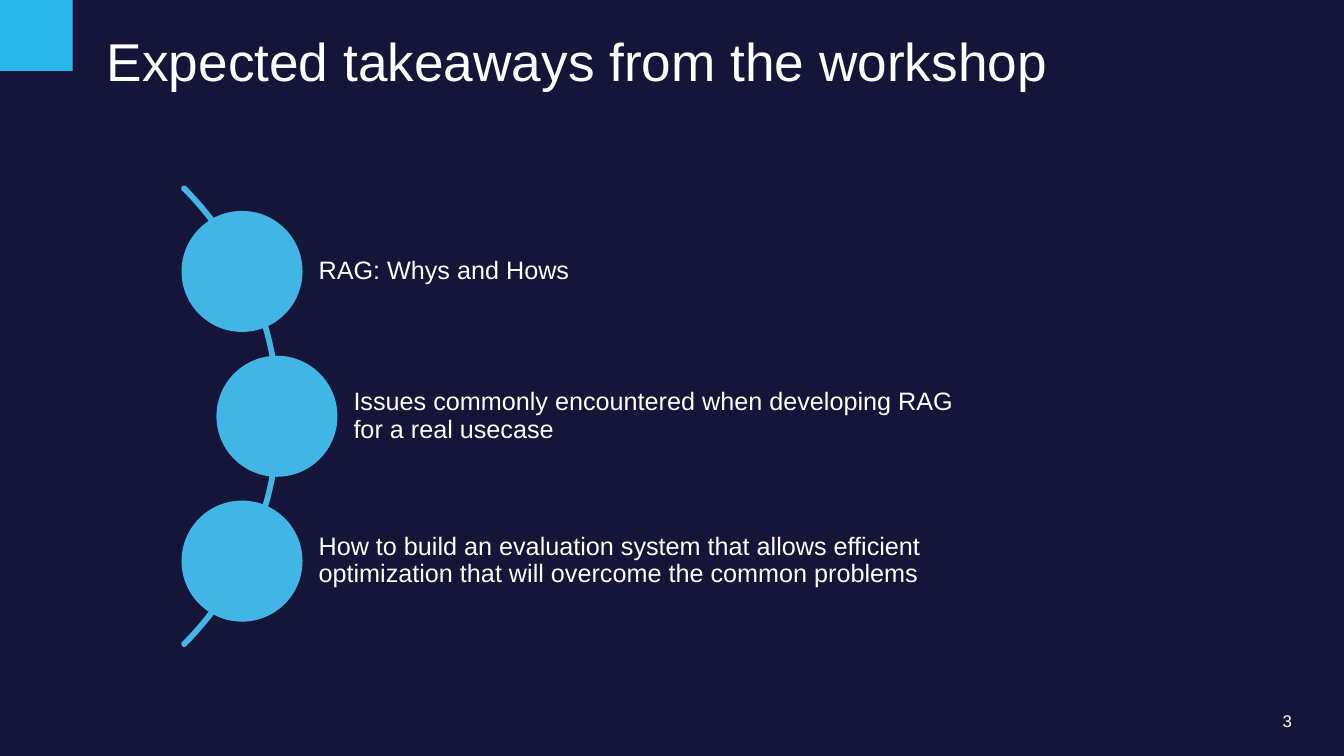
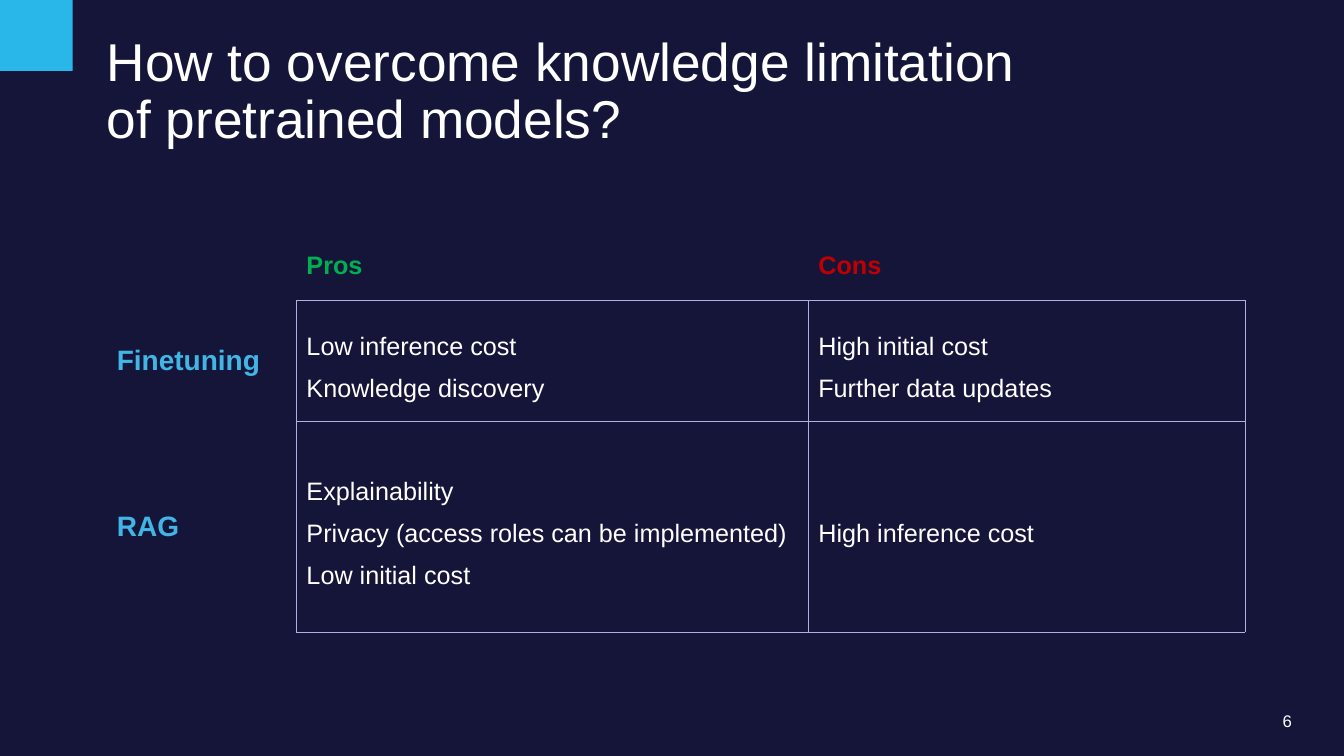
from lxml.etree import Element, SubElement
from pptx import Presentation
from pptx.dml.color import RGBColor
from pptx.enum.shapes import MSO_SHAPE
from pptx.enum.text import MSO_ANCHOR, MSO_AUTO_SIZE, PP_ALIGN
from pptx.oxml.ns import qn
from pptx.util import Cm, Pt

NAVY = RGBColor(0x15, 0x15, 0x3A)
WHITE = RGBColor(0xFF, 0xFF, 0xFF)
BLUE = RGBColor(0x41, 0xB6, 0xE6)
CYAN = RGBColor(0x29, 0xB7, 0xEA)
GREEN = RGBColor(0x00, 0xB0, 0x50)
RED = RGBColor(0xC0, 0x00, 0x00)
LILAC = RGBColor(0xB0, 0xB0, 0xE2)
FONT = "Arial"
NO_STYLE = "{2D5ABB26-0587-4C30-8999-92F81FD0307C}"

POINTS = [
    "RAG: Whys and Hows",
    "Issues commonly encountered when developing RAG for a real usecase",
    "How to build an evaluation system that allows efficient optimization "
    "that will overcome the common problems",
]
ROWS = [
    ["", "Pros", "Cons"],
    ["Finetuning", "Low inference cost\nKnowledge discovery",
     "High initial cost\nFurther data updates"],
    ["RAG", "Explainability\nPrivacy (access roles can be implemented)\nLow initial cost",
     "High inference cost"],
]


def style(frame, size, color=WHITE, bold=False, align=PP_ALIGN.LEFT, space=1.0):
    """Format every paragraph and run of a text frame."""
    for para in frame.paragraphs:
        para.alignment = align
        para.line_spacing = space
        for run in para.runs:
            run.font.name = FONT
            run.font.size = Pt(size)
            run.font.bold = bold
            run.font.color.rgb = color


def fit(frame, anchor, left=0, pad=0):
    """Set wrapping, anchor and margins of a text frame."""
    frame.word_wrap = True
    frame.auto_size = MSO_AUTO_SIZE.NONE
    frame.vertical_anchor = anchor
    frame.margin_left = Cm(left)
    frame.margin_top = frame.margin_right = frame.margin_bottom = Cm(pad)


def add_solid(slide, kind, box, color):
    """Add a preset shape filled with one colour."""
    shape = slide.shapes.add_shape(kind, *map(Cm, box))
    shape.shadow.inherit = False
    shape.fill.solid()
    shape.fill.fore_color.rgb = color
    shape.line.fill.background()
    return shape


def add_text(slide, text, box, size, left=0, pad=0, **look):
    """Add a text box centred on its height."""
    frame = slide.shapes.add_textbox(*map(Cm, box)).text_frame
    fit(frame, MSO_ANCHOR.MIDDLE, left, pad)
    frame.text = text
    style(frame, size, **look)


def add_page(deck, title, width, height, number):
    """Add a slide with title, corner mark and page number."""
    slide = deck.slides.add_slide(deck.slide_layouts[5])
    add_solid(slide, MSO_SHAPE.RECTANGLE, (0, 0, 1.83, 1.79), CYAN)
    head = slide.shapes.title
    head.left, head.top, head.width, head.height = map(Cm, (2.69, 0.89, width, height))
    fit(head.text_frame, MSO_ANCHOR.TOP)
    head.text_frame.text = title
    style(head.text_frame, 38, space=0.9)
    add_text(slide, number, (24.94, 17.91, 7.62, 0.51), 12, align=PP_ALIGN.RIGHT)
    return slide


def add_curve(slide, points):
    """Add the arc with one disc and one text for each point."""
    mid, step, size, tall, edge = 10.49, 3.65, 3.05, 2.43, 24.77
    arc = add_solid(slide, MSO_SHAPE.BLOCK_ARC, (-9.32, 2.31, 16.36, 16.36), BLUE)
    for place, value in enumerate((189, 27, 0.004)):
        arc.adjustments[place] = value
    arc.line.color.rgb = BLUE
    arc.line.width = Pt(2.25)
    for place, text in enumerate(points):
        shift = place - 1
        x = 6.98 - 0.88 * abs(shift)
        y = mid + shift * step
        add_text(slide, text, (x, y - tall / 2, edge - x, tall), 18,
                 left=1.93, pad=0.13, space=0.9)
        add_solid(slide, MSO_SHAPE.OVAL, (x - size / 2, y - size / 2, size, size), BLUE)


def add_edges(cell, sides):
    """Draw thin lines on the given sides of a cell."""
    props = cell._tc.get_or_add_tcPr()
    for place, side in enumerate(sides):
        line = Element(qn("a:ln" + side), w=str(Pt(0.25)))
        fill = SubElement(line, qn("a:solidFill"))
        SubElement(fill, qn("a:srgbClr"), val=str(LILAC))
        props.insert(place, line)


def fill_cell(cell, text, row, col):
    """Write and format one cell by its place in the grid."""
    cell.text = text
    cell.vertical_anchor = MSO_ANCHOR.MIDDLE
    cell.fill.background()
    if row == 0:
        style(cell.text_frame, 18, RED if col == 2 else GREEN, True)
        add_edges(cell, "B" if col else "")
    elif col == 0:
        style(cell.text_frame, 20, BLUE, True)
        add_edges(cell, "R")
    else:
        style(cell.text_frame, 18, space=1.5)
        add_edges(cell, "LRTB")


def add_grid(slide, rows, widths, heights):
    """Add the table that compares the methods."""
    box = map(Cm, (2.69, 5.82, sum(widths), sum(heights)))
    table = slide.shapes.add_table(len(rows), len(widths), *box).table
    table.first_row = table.horz_banding = False
    table._tbl.tblPr.find(qn("a:tableStyleId")).text = NO_STYLE
    for col, width in enumerate(widths):
        table.columns[col].width = Cm(width)
    for row, texts in enumerate(rows):
        table.rows[row].height = Cm(heights[row])
        for col, text in enumerate(texts):
            fill_cell(table.cell(row, col), text, row, col)


def main():
    """Build and save the slides."""
    deck = Presentation()
    deck.slide_width, deck.slide_height = Cm(33.87), Cm(19.05)
    back = deck.slide_master.background.fill
    back.solid()
    back.fore_color.rgb = NAVY
    slide = add_page(deck, "Expected takeaways from the workshop", 29.87, 1.47, "3")
    add_curve(slide, POINTS)
    slide = add_page(deck, "How to overcome knowledge limitation of pretrained models?",
                     23.22, 2.92, "6")
    add_grid(slide, ROWS, (4.78, 12.9, 11), (1.75, 3.05, 5.31))
    deck.save("out.pptx")


if __name__ == "__main__":
    main()
